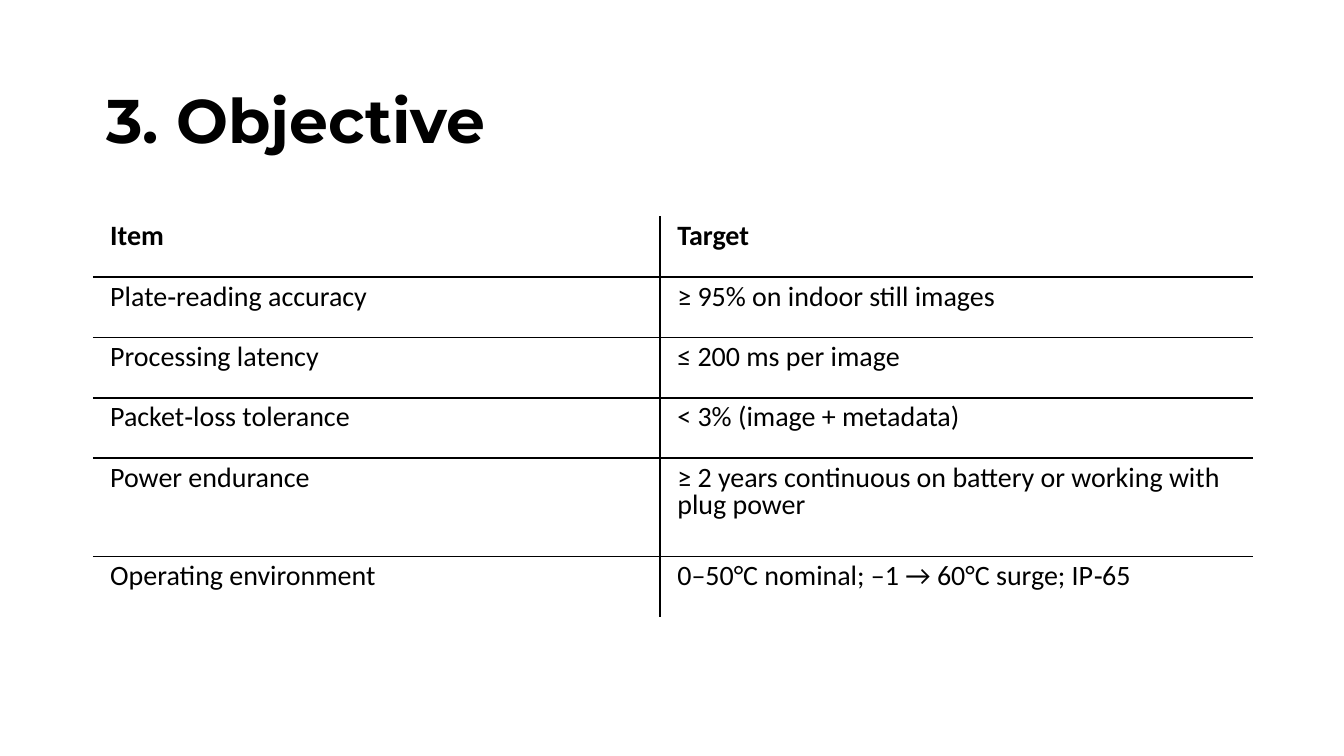
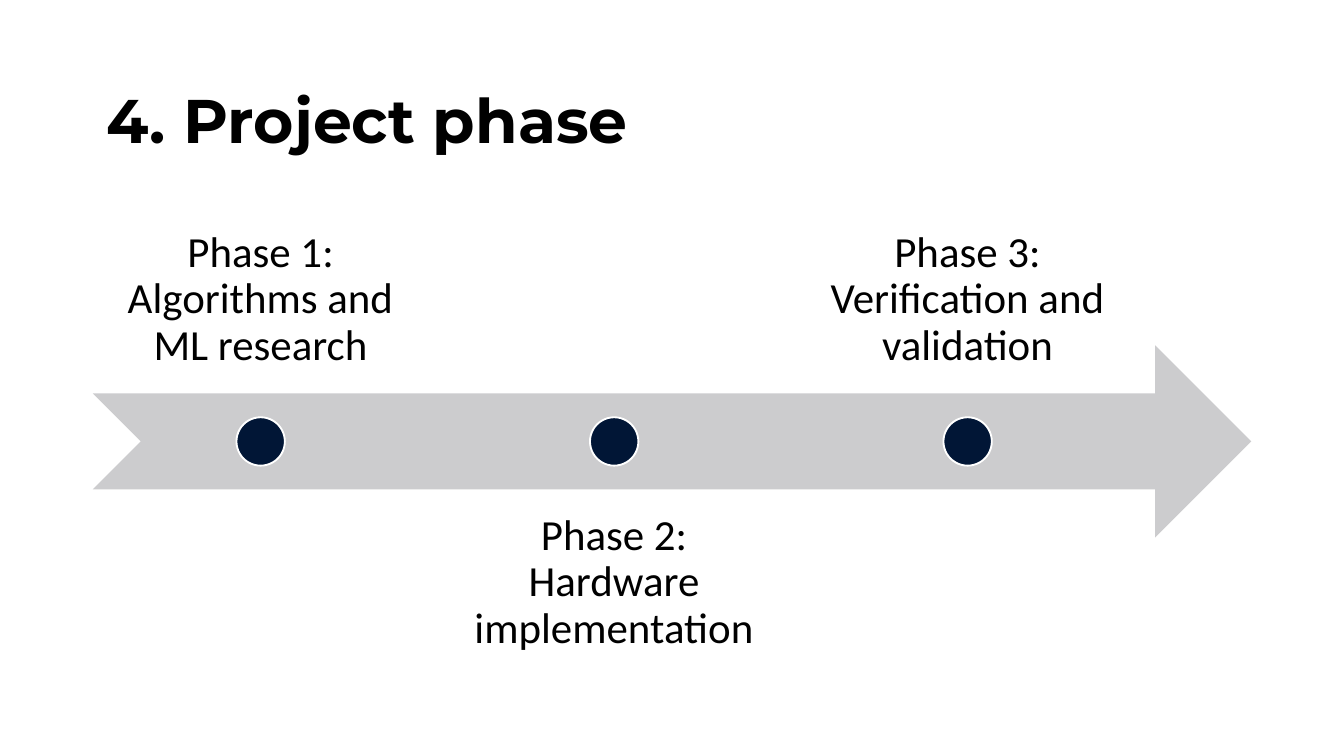
from lxml import etree
from pptx import Presentation
from pptx.dml.color import RGBColor
from pptx.enum.shapes import MSO_SHAPE
from pptx.enum.text import MSO_ANCHOR, PP_ALIGN
from pptx.oxml.ns import qn
from pptx.util import Inches, Pt

TOP, BOTTOM = MSO_ANCHOR.TOP, MSO_ANCHOR.BOTTOM
LEFT, CENTER = PP_ALIGN.LEFT, PP_ALIGN.CENTER
ARROW, DOT = MSO_SHAPE.NOTCHED_RIGHT_ARROW, MSO_SHAPE.OVAL

# Content
GOALS = "3. Objective"
TARGETS = [
    ("Item", "Target"),
    ("Plate‑reading accuracy", "≥ 95% on indoor still images"),
    ("Processing latency", "≤ 200 ms per image"),
    ("Packet‑loss tolerance", "< 3% (image + metadata)"),
    ("Power endurance",
     "≥ 2 years continuous on battery or working with plug power"),
    ("Operating environment", "0–50°C nominal; –1 → 60°C surge; IP‑65"),
]
PLAN = "4. Project phase"
PHASES = [
    "Phase 1: Algorithms and ML research",
    "Phase 2: Hardware implementation",
    "Phase 3: Verification and validation",
]

# Shared look
COLORS = {"ink": "000000", "band": "CCCCCE", "dot": "011636", "rim": "FFFFFF"}
FONTS = {
    "title": {"name": "Montserrat", "size": Pt(33), "bold": True},
    "head": {"name": "Calibri", "size": Pt(15), "bold": True},
    "cell": {"name": "Calibri", "size": Pt(15), "bold": False},
    "phase": {"name": "Calibri", "size": Pt(23), "bold": False},
}
PARAS = {
    "title": {"alignment": LEFT, "line_spacing": 0.9},
    "cell": {"line_spacing": Pt(14.7), "space_after": Pt(10)},
    "phase": {"alignment": CENTER, "line_spacing": 0.9, "space_after": Pt(8)},
}
SIDES = ("left", "top", "right", "bottom")
PAGE_W, RATIO = 10, 9 / 16
EDGE, WIDE = 0.69, 8.62

# Table and timeline measures
COLS = (4.22, 4.41)
ROWS = (0.45, 0.45, 0.45, 0.45, 0.73, 0.45)
BAND_Y, BAND_H = 2.57, 1.43
LABEL_W, LABEL_YS, STEP = 2.5, (1.5, 3.64), 2.63
DOT_D = 0.36


def color(key):
    return RGBColor.from_string(COLORS[key])


def apply(item, form):
    for key, val in form.items():
        setattr(item, key, val)


def box(*nums):
    return [Inches(n) for n in nums]


def write(frame, text, font, para):
    frame.text = text
    first = frame.paragraphs[0]
    apply(first, PARAS[para])
    apply(first.font, FONTS[font])
    first.font.color.rgb = color("ink")


def add_page(deck, text):
    page = deck.slides.add_slide(deck.slide_layouts[5])
    title = page.shapes.title
    apply(title, dict(zip(("left", "top", "width", "height"),
                          box(EDGE, 0.62, WIDE, 0.76))))
    write(title.text_frame, text, "title", "title")
    apply(title.text_frame, {"vertical_anchor": TOP, "word_wrap": True})
    return page


def rule(cell, shown):
    """Draw the named cell edges and clear the others."""
    props = cell._tc.get_or_add_tcPr()
    for side in "LRTB":
        line = etree.SubElement(props, qn(f"a:ln{side}"), w=str(Pt(1)))
        if side in shown:
            fill = etree.SubElement(line, qn("a:solidFill"))
            etree.SubElement(fill, qn("a:srgbClr"), val=COLORS["ink"])
        else:
            etree.SubElement(line, qn("a:noFill"))


def add_targets(page):
    area = box(EDGE, 1.61, sum(COLS), sum(ROWS))
    table = page.shapes.add_table(len(ROWS), len(COLS), *area).table
    apply(table, {"first_row": False, "horz_banding": False})
    for col, width in zip(table.columns, COLS):
        col.width = Inches(width)
    pad = dict(zip((f"margin_{s}" for s in SIDES), box(0.13, 0.07, 0.13, 0.07)))
    for r, (height, texts) in enumerate(zip(ROWS, TARGETS)):
        table.rows[r].height = Inches(height)
        for c, text in enumerate(texts):
            cell = table.cell(r, c)
            apply(cell, pad)
            write(cell.text_frame, text, "cell" if r else "head", "cell")
            # Only inner edges carry a line
            rule(cell, ("L" if c else "R") + ("T" if r else "")
                 + ("B" if r < len(ROWS) - 1 else ""))
            cell.fill.background()


def add_form(group, kind, area, fill, rim=None):
    form = group.shapes.add_shape(kind, *area)
    form.shadow.inherit = False
    form.fill.solid()
    form.fill.fore_color.rgb = color(fill)
    if rim:
        form.line.color.rgb = color(rim)
        form.line.width = Pt(1)
    else:
        form.line.fill.background()


def add_phases(page):
    group = page.shapes.add_group_shape()
    add_form(group, ARROW, box(EDGE, BAND_Y, WIDE, BAND_H), "band")
    pad = {f"margin_{s}": Inches(0.18) for s in SIDES}
    for i, text in enumerate(PHASES):
        # Labels alternate above and below the band
        x, below = EDGE + i * STEP, i % 2
        label = group.shapes.add_textbox(
            *box(x, LABEL_YS[below], LABEL_W, BAND_H))
        frame = label.text_frame
        apply(frame, {**pad, "word_wrap": True,
                      "vertical_anchor": TOP if below else BOTTOM})
        write(frame, text, "phase", "phase")
        spot = box(x + (LABEL_W - DOT_D) / 2,
                   BAND_Y + (BAND_H - DOT_D) / 2, DOT_D, DOT_D)
        add_form(group, DOT, spot, "dot", "rim")


def main():
    deck = Presentation()
    deck.slide_width, deck.slide_height = box(PAGE_W, PAGE_W * RATIO)
    add_targets(add_page(deck, GOALS))
    add_phases(add_page(deck, PLAN))
    deck.save("out.pptx")


if __name__ == "__main__":
    main()
